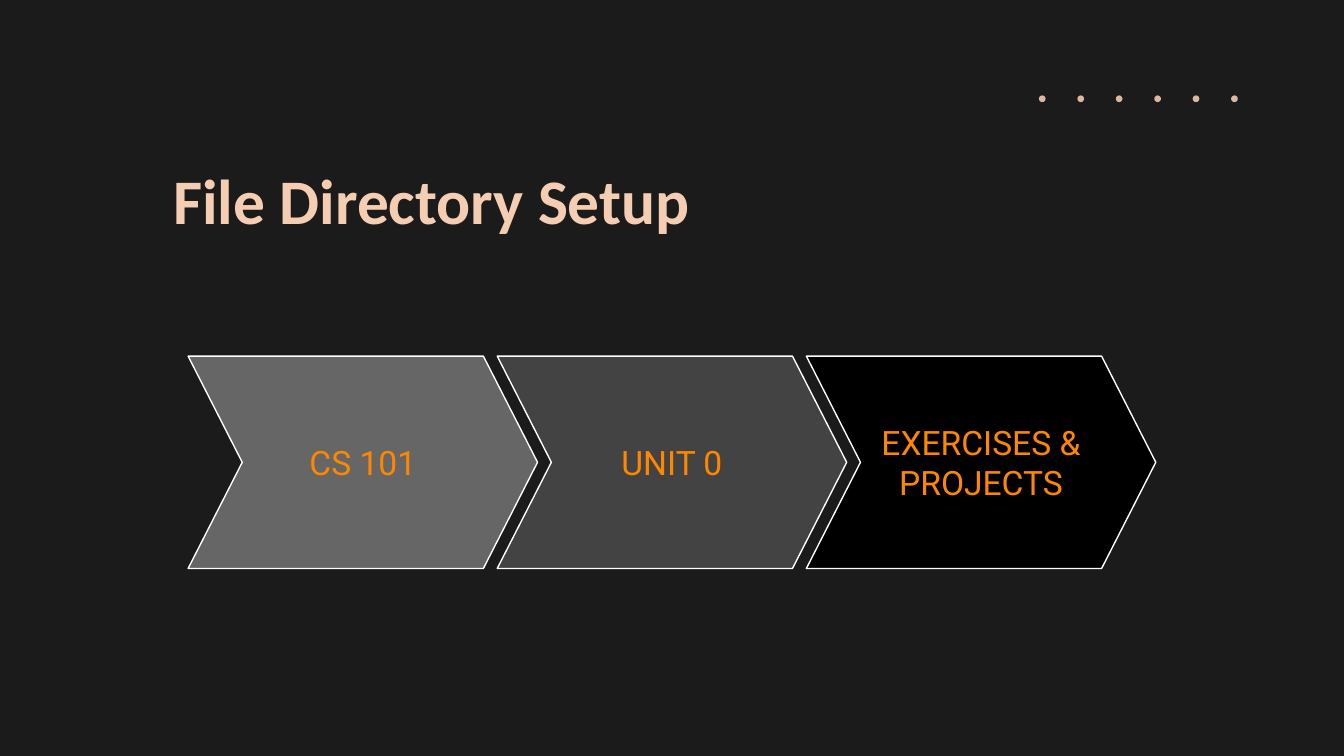
from pptx import Presentation
from pptx import util as u
from pptx.dml.color import RGBColor
from pptx.enum import shapes, text

BACKGROUND = RGBColor(0x1B, 0x1B, 0x1B)
PEACH = RGBColor(0xF5, 0xCD, 0xB2)
DOT = RGBColor(0xDC, 0xB8, 0xA0)
ORANGE = RGBColor(0xFF, 0x87, 0x00)
WHITE = RGBColor(0xFF, 0xFF, 0xFF)
STEPS = [
    ("CS 101", RGBColor(0x66, 0x66, 0x66)),
    ("UNIT 0", RGBColor(0x43, 0x43, 0x43)),
    ("EXERCISES & PROJECTS", RGBColor(0x00, 0x00, 0x00)),
]


def write(frame, words, font, size, color, align, anchor, bold=False):
    frame.word_wrap = True
    frame.auto_size = text.MSO_AUTO_SIZE.NONE
    frame.vertical_anchor = anchor
    frame.margin_left = frame.margin_right = u.Inches(0.1)
    frame.margin_top = frame.margin_bottom = u.Inches(0.1)
    para = frame.paragraphs[0]
    para.alignment = align
    span = para.add_run()
    span.text = words
    span.font.name = font
    span.font.size = u.Pt(size)
    span.font.bold = bold
    span.font.color.rgb = color


def add_dots(page, left, top, width, height, count=6):
    pitch = (width - height) / (count - 1)
    for index in range(count):
        dot = page.shapes.add_shape(
            shapes.MSO_SHAPE.OVAL, u.Inches(left + index * pitch),
            u.Inches(top), u.Inches(height), u.Inches(height))
        dot.shadow.inherit = False
        dot.fill.solid()
        dot.fill.fore_color.rgb = DOT
        dot.line.fill.background()


def add_title(page, left, top, width, height):
    title = page.shapes.title
    title.left, title.top = u.Inches(left), u.Inches(top)
    title.width, title.height = u.Inches(width), u.Inches(height)
    write(title.text_frame, "File Directory Setup", "Calibri", 34, PEACH,
          text.PP_ALIGN.LEFT, text.MSO_ANCHOR.TOP, bold=True)


def add_steps(page, left, top, width, height, overlap=0.3):
    step_width = (width + overlap * (len(STEPS) - 1)) / len(STEPS)
    for index, (label, color) in enumerate(STEPS):
        step = page.shapes.add_shape(
            shapes.MSO_SHAPE.CHEVRON,
            u.Inches(left + index * (step_width - overlap)),
            u.Inches(top), u.Inches(step_width), u.Inches(height))
        step.adjustments[0] = 0.255
        step.shadow.inherit = False
        step.fill.solid()
        step.fill.fore_color.rgb = color
        step.line.color.rgb = WHITE
        step.line.width = u.Pt(0.75)
        write(step.text_frame, label, "Roboto", 18, ORANGE,
              text.PP_ALIGN.CENTER, text.MSO_ANCHOR.MIDDLE)


def main():
    deck = Presentation()
    deck.slide_width = u.Inches(10)
    deck.slide_height = deck.slide_width * 9 // 16
    page = deck.slides.add_slide(deck.slide_layouts[5])
    page.background.fill.solid()
    page.background.fill.fore_color.rgb = BACKGROUND
    add_dots(page, 7.73, 0.71, 1.48, 0.05)
    add_title(page, 1.19, 1.1, 5.25, 0.63)
    add_steps(page, 1.4, 2.65, 7.2, 1.58)
    deck.save("out.pptx")


if __name__ == "__main__":
    main()
